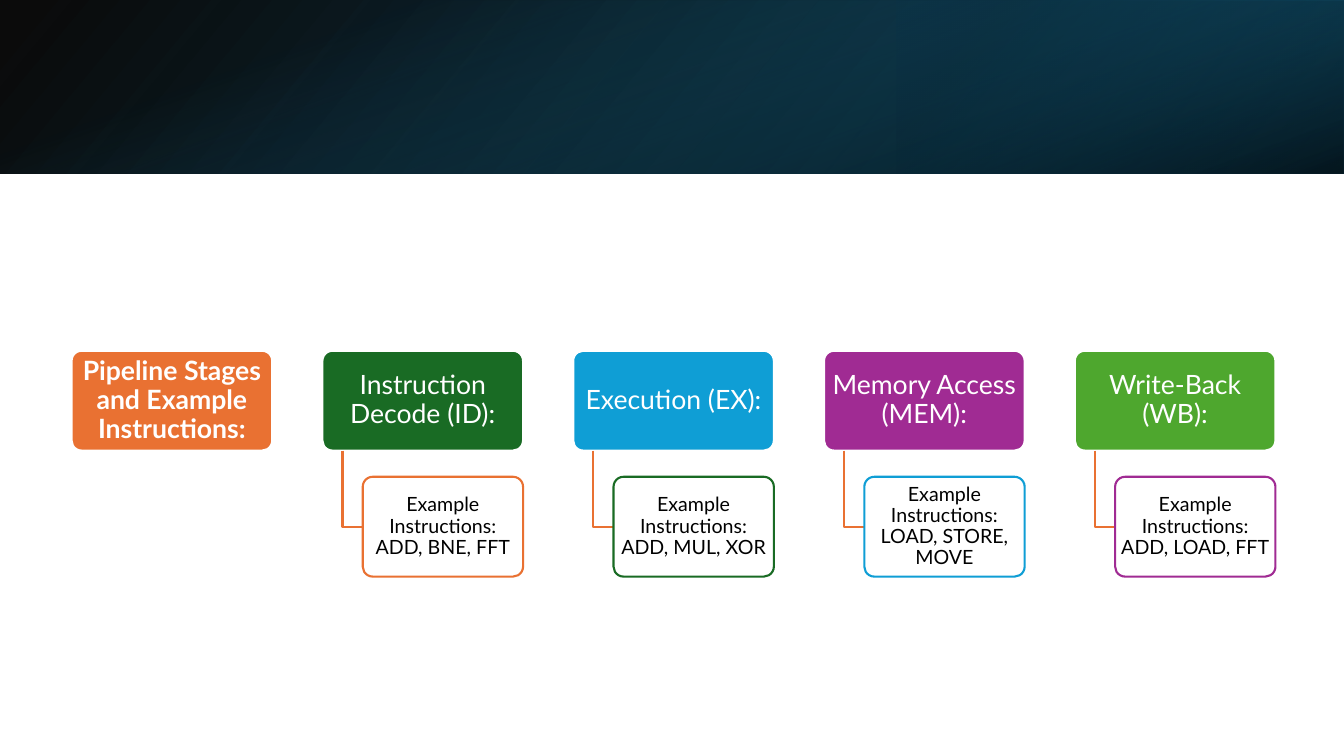
"""Builds the slide of pipeline stages with their example instructions."""
from dataclasses import dataclass

from lxml import etree
from pptx import Presentation
from pptx.dml.color import RGBColor
from pptx.enum.shapes import MSO_SHAPE
from pptx.enum.text import MSO_ANCHOR, PP_ALIGN
from pptx.oxml.ns import qn
from pptx.util import Inches, Pt

STAGES = [
    ("Pipeline Stages and Example Instructions:", None),
    ("Instruction Decode (ID):", "Example Instructions: ADD, BNE, FFT"),
    ("Execution (EX):", "Example Instructions: ADD, MUL, XOR"),
    ("Memory Access (MEM):", "Example Instructions: LOAD, STORE, MOVE"),
    ("Write-Back (WB):", "Example Instructions: ADD, LOAD, FFT"),
]

BANNER = [
    {"box": (0, 0, 13.33, 1.72), "turn": 0, "flip": True, "angle": 140,
     "stops": [(0, "000000", 96), (100, "104862", 100)]},
    {"box": (8.89, 0, 4.44, 1.72), "turn": 180, "flip": True, "angle": 320,
     "stops": [(19, "0B3041", 68), (100, "156082", 79)]},
    {"box": (5.8, -5.8, 1.72, 13.33), "turn": 90, "flip": False, "angle": 340,
     "stops": [(23, "156082", 0), (99, "000000", 74)]},
]


@dataclass(frozen=True)
class Theme:
    """Colours, font and type sizes of the slide."""
    stages: tuple = ("E97132", "196B24", "0F9ED5", "A02B93", "4EA72E")
    elbow: str = "E97132"
    white: str = "FFFFFF"
    black: str = "000000"
    font: str = "Lato"
    stage_size: int = 19
    example_size: int = 14
    line: float = 1.5


THEME = Theme()
FIRST_LEFT, LAST_LEFT = 0.71, 10.66
STAGE_TOP, STAGE_WIDTH, BOX_HEIGHT = 3.48, 1.99, 0.99
EXAMPLE_TOP, INDENT = 4.73, 0.2


def add_opacity(color, percent):
    """Give a colour element an opacity."""
    etree.SubElement(color, qn("a:alpha"), val=str(percent * 1000))


def add_banner_layer(slide, layer):
    """Add one see-through gradient layer of the banner."""
    panel = slide.shapes.add_shape(MSO_SHAPE.RECTANGLE, *map(Inches, layer["box"]))
    panel.shadow.inherit = False
    panel.line.fill.background()
    panel.rotation = layer["turn"]
    properties = panel.element.spPr
    if layer["flip"]:
        properties.find(qn("a:xfrm")).set("flipH", "1")
    gradient = etree.Element(qn("a:gradFill"), rotWithShape="1")
    stops = etree.SubElement(gradient, qn("a:gsLst"))
    for position, color, opacity in layer["stops"]:
        stop = etree.SubElement(stops, qn("a:gs"), pos=str(position * 1000))
        add_opacity(etree.SubElement(stop, qn("a:srgbClr"), val=color), opacity)
    etree.SubElement(gradient, qn("a:lin"), ang=str(layer["angle"] * 60000), scaled="0")
    properties.find(qn("a:prstGeom")).addnext(gradient)


def add_box(slide, box, text, fill, line, color, size, insets, bold=False):
    """Add a rounded box with centred text."""
    card = slide.shapes.add_shape(MSO_SHAPE.ROUNDED_RECTANGLE, *map(Inches, box))
    card.adjustments[0] = 0.1
    card.shadow.inherit = False
    card.fill.solid()
    card.fill.fore_color.rgb = RGBColor.from_string(fill)
    card.line.color.rgb = RGBColor.from_string(line)
    card.line.width = Pt(THEME.line)
    frame = card.text_frame
    frame.word_wrap = True
    frame.vertical_anchor = MSO_ANCHOR.MIDDLE
    frame.margin_left = frame.margin_right = Inches(insets[0])
    frame.margin_top = frame.margin_bottom = Inches(insets[1])
    frame.text = text
    paragraph = frame.paragraphs[0]
    paragraph.alignment = PP_ALIGN.CENTER
    paragraph.line_spacing = 0.9
    font = paragraph.runs[0].font
    font.name, font.size, font.bold = THEME.font, Pt(size), bold
    font.color.rgb = RGBColor.from_string(color)
    return card


def add_elbow(slide, left):
    """Add the bent line from a stage down to its example."""
    top, bottom = STAGE_TOP + BOX_HEIGHT, EXAMPLE_TOP + BOX_HEIGHT / 2
    builder = slide.shapes.build_freeform(Inches(left), Inches(top))
    corners = [(left, bottom), (left + INDENT, bottom)]
    builder.add_line_segments([(Inches(x), Inches(y)) for x, y in corners], close=False)
    elbow = builder.convert_to_shape()
    elbow.shadow.inherit = False
    elbow.fill.background()
    elbow.line.color.rgb = RGBColor.from_string(THEME.elbow)
    elbow.line.width = Pt(THEME.line)


def main():
    """Build and save the slide."""
    deck = Presentation()
    deck.slide_width, deck.slide_height = Inches(13.33), Inches(7.5)
    slide = deck.slides.add_slide(deck.slide_layouts[6])
    for layer in BANNER:
        add_banner_layer(slide, layer)

    step = (LAST_LEFT - FIRST_LEFT) / (len(STAGES) - 1)
    for index, (stage, example) in enumerate(STAGES):
        left = FIRST_LEFT + index * step
        add_box(slide, (left, STAGE_TOP, STAGE_WIDTH, BOX_HEIGHT), stage,
                THEME.stages[index], THEME.white, THEME.white, THEME.stage_size,
                (0.04, 0.03), bold=index == 0)
        if example:
            add_elbow(slide, left + INDENT)
            example_box = (left + 2 * INDENT, EXAMPLE_TOP,
                           STAGE_WIDTH - 2 * INDENT, BOX_HEIGHT)
            card = add_box(slide, example_box, example, THEME.white,
                           THEME.stages[index - 1], THEME.black,
                           THEME.example_size, (0.03, 0.02))
            add_opacity(card.element.spPr.find(qn("a:solidFill"))[0], 90)
    deck.save("out.pptx")


if __name__ == "__main__":
    main()
